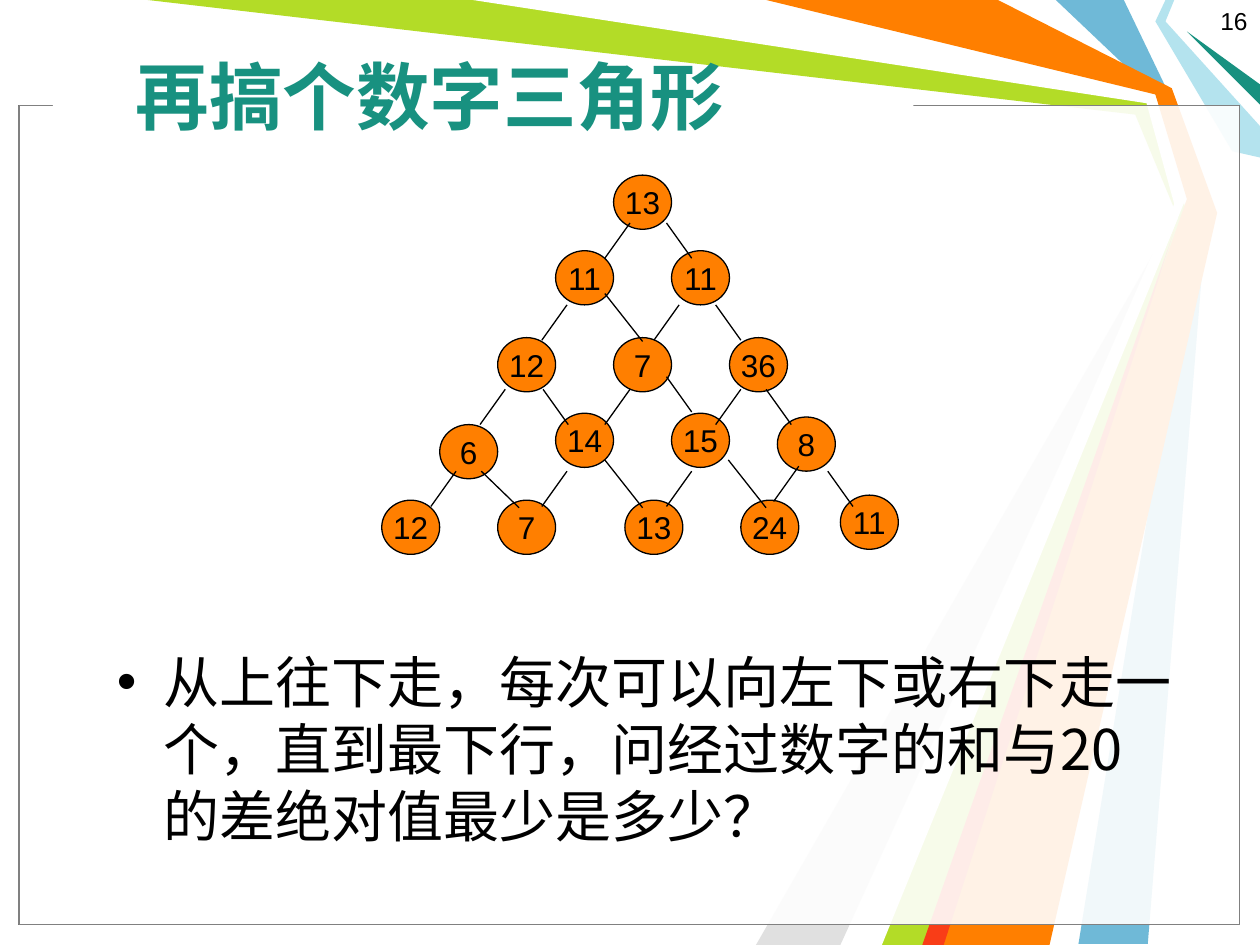
from lxml.etree import SubElement
from pptx import Presentation
from pptx.dml.color import RGBColor
from pptx.enum.shapes import MSO_CONNECTOR as Connector, MSO_SHAPE as Preset
from pptx.enum.text import MSO_ANCHOR as Anchor, PP_ALIGN as Align
from pptx.oxml.ns import qn
from pptx.util import Inches, Pt

BLACK, WHITE, TEAL, ORANGE = "000000", "FFFFFF", "189180", "FF7F00"
LATIN, CHINESE = "Arial", "Noto Sans CJK SC"

RIBBONS = [
    ("6FB9D7", [(8.92, 0), (9.29, 0.77), (9.58, 1.67), (9.11, 7.49), (8.56, 7.49),
                (9.5, 1.67), (9.17, 0.75), (8.38, 0)]),
    ("B3DC27", [(1.17, 0), (3.83, 0), (9.14, 0.78), (9.42, 1.69), (7.42, 7.5),
                (6.92, 7.5), (9.35, 1.73), (9.01, 0.91)]),
    ("E0E0E0", [(6.67, 7.5), (9.27, 1.81), (6, 7.5)]),
    (WHITE, [(3.75, 0), (9.1, 0.82), (9.32, 1.62), (6.75, 7.5), (7, 7.5),
             (9.41, 1.58), (9.17, 0.75), (6, 0)]),
    ("B4E3EE", [(9.25, 0), (9.17, 0.17), (9.78, 1.2), (10, 1.25), (10, 1),
                (9.25, 0.17), (9.32, 0)]),
    (TEAL, [(10, 0.83), (9.42, 0.25), (10, 0.67)]),
    (ORANGE, [(6.08, 0), (7.92, 0), (9.3, 0.7), (9.66, 1.69), (8.33, 7.5),
              (7.33, 7.5), (9.42, 1.58), (9.17, 0.75)]),
    ("F93D17", [(7.32, 7.5), (9.32, 1.83), (7.49, 7.5)]),
]

APEX_LEFT, HALF_STEP = 4.87, 0.46
TRIANGLE = [
    (1.39, [13]),
    (1.99, [11, 11]),
    (2.68, [12, 7, 36]),
    (3.28, [6, 14, 15, 8]),
    (3.97, [12, 7, 13, 24, 11]),
]
NUDGES = {(3, 0): (0, 0.09), (3, 3): (-0.08, 0.03), (4, 2): (0.09, 0),
          (4, 3): (0.09, 0), (4, 4): (-0.04, -0.04)}
LINKS = {
    (-0.2, 0.28): [(5, 1.77), (4.5, 2.42), (4.01, 3.09), (3.62, 3.74), (5.39, 2.42),
                   (5, 3.09), (4.5, 3.74), (5.88, 3.09), (5.49, 3.74), (6.34, 3.7)],
    (0.2, 0.28): [(5.29, 1.77), (5.68, 2.42), (6.08, 3.09), (6.57, 3.74),
                  (4.31, 3.09), (5.29, 2.99)],
    (0.3, 0.38): [(4.8, 2.33), (5.78, 3.65), (4.8, 3.65)],
    (0.3, 0.29): [(3.82, 3.74)],
}


def color(value):
    return RGBColor.from_string(value)


def write(box, text, size=18, font=LATIN, ink=BLACK, bold=False,
          align=Align.LEFT, anchor=Anchor.TOP, wrap=True):
    frame = box.text_frame
    frame.word_wrap = wrap
    frame.vertical_anchor = anchor
    para = frame.paragraphs[0]
    para.alignment = align
    span = para.add_run()
    span.text = text
    span.font.size = Pt(size)
    span.font.name = font
    span.font.bold = bold
    span.font.color.rgb = color(ink)
    props = span._r.get_or_add_rPr()
    SubElement(props, qn("a:ea")).set("typeface", font)
    return para


class SlideBuilder:
    """Draws styled elements on the current slide."""

    line_width = Pt(0.75)

    def __init__(self, page):
        self.page = page

    def paint(self, shape, fill, line=None, opacity=None):
        shape.shadow.inherit = False
        shape.fill.solid()
        shape.fill.fore_color.rgb = color(fill)
        if opacity is not None:
            tint = shape.fill._xPr.find(qn("a:solidFill"))[0]
            SubElement(tint, qn("a:alpha")).set("val", str(opacity * 1000))
        if line:
            shape.line.color.rgb = color(line)
            shape.line.width = self.line_width
        else:
            shape.line.fill.background()

    def ribbon(self, fill, points):
        corners = [(Inches(x), Inches(y)) for x, y in points]
        builder = self.page.shapes.build_freeform(*corners[0])
        builder.add_line_segments(corners[1:], close=True)
        self.paint(builder.convert_to_shape(), fill)

    def shape(self, preset, area, fill, line=None, opacity=None):
        shape = self.page.shapes.add_shape(preset, *map(Inches, area))
        self.paint(shape, fill, line, opacity)
        return shape

    def text(self, area, text, **style):
        box = self.page.shapes.add_textbox(*map(Inches, area))
        return write(box, text, **style)

    def bullet(self, area, text, **style):
        para = self.text(area, text, **style)
        para.space_before = Pt(8)
        props = para._p.get_or_add_pPr()
        props.set("marL", str(Inches(0.37)))
        props.set("indent", str(Inches(-0.37)))
        tint = SubElement(props, qn("a:buClr"))
        SubElement(tint, qn("a:srgbClr")).set("val", BLACK)
        SubElement(props, qn("a:buFont")).set("typeface", LATIN)
        SubElement(props, qn("a:buChar")).set("char", "•")

    def node(self, left, top, number):
        circle = self.shape(Preset.OVAL, (left, top, 0.46, 0.43), ORANGE, BLACK)
        write(circle, str(number), align=Align.CENTER, anchor=Anchor.MIDDLE, wrap=False)

    def link(self, x, y, dx, dy):
        ends = map(Inches, (x, y, x + dx, y + dy))
        line = self.page.shapes.add_connector(Connector.STRAIGHT, *ends)
        line.line.color.rgb = color(BLACK)
        line.line.width = self.line_width
        SubElement(line._element.spPr, qn("a:effectLst"))


def main():
    deck = Presentation()
    deck.slide_width, deck.slide_height = Inches(10), Inches(7.5)
    slide = SlideBuilder(deck.slides.add_slide(deck.slide_layouts[6]))

    for fill, points in RIBBONS:
        slide.ribbon(fill, points)
    for line in (BLACK, "808080"):
        slide.shape(Preset.RECTANGLE, (0.15, 0.84, 9.69, 6.5), WHITE, line, opacity=69)
    slide.shape(Preset.RECTANGLE, (0.42, 0.74, 6.83, 0.17), WHITE)

    slide.text((7.67, 0, 2.33, 0.52), "16", size=14, align=Align.RIGHT)
    slide.text((0.98, 0.13, 7.4, 1.25), "再搞个数字三角形", size=42, font=CHINESE,
               ink=TEAL, bold=True, anchor=Anchor.MIDDLE)
    slide.bullet((0.83, 5.09, 8.62, 1.89),
                 "从上往下走，每次可以向左下或右下走一个，直到最下行，"
                 "问经过数字的和与20的差绝对值最少是多少？", size=32, font=CHINESE)

    for row, (top, numbers) in enumerate(TRIANGLE):
        for place, number in enumerate(numbers):
            dx, dy = NUDGES.get((row, place), (0, 0))
            left = APEX_LEFT + (2 * place - row) * HALF_STEP
            slide.node(left + dx, top + dy, number)
    for (dx, dy), starts in LINKS.items():
        for x, y in starts:
            slide.link(x, y, dx, dy)

    deck.save("out.pptx")


if __name__ == "__main__":
    main()
